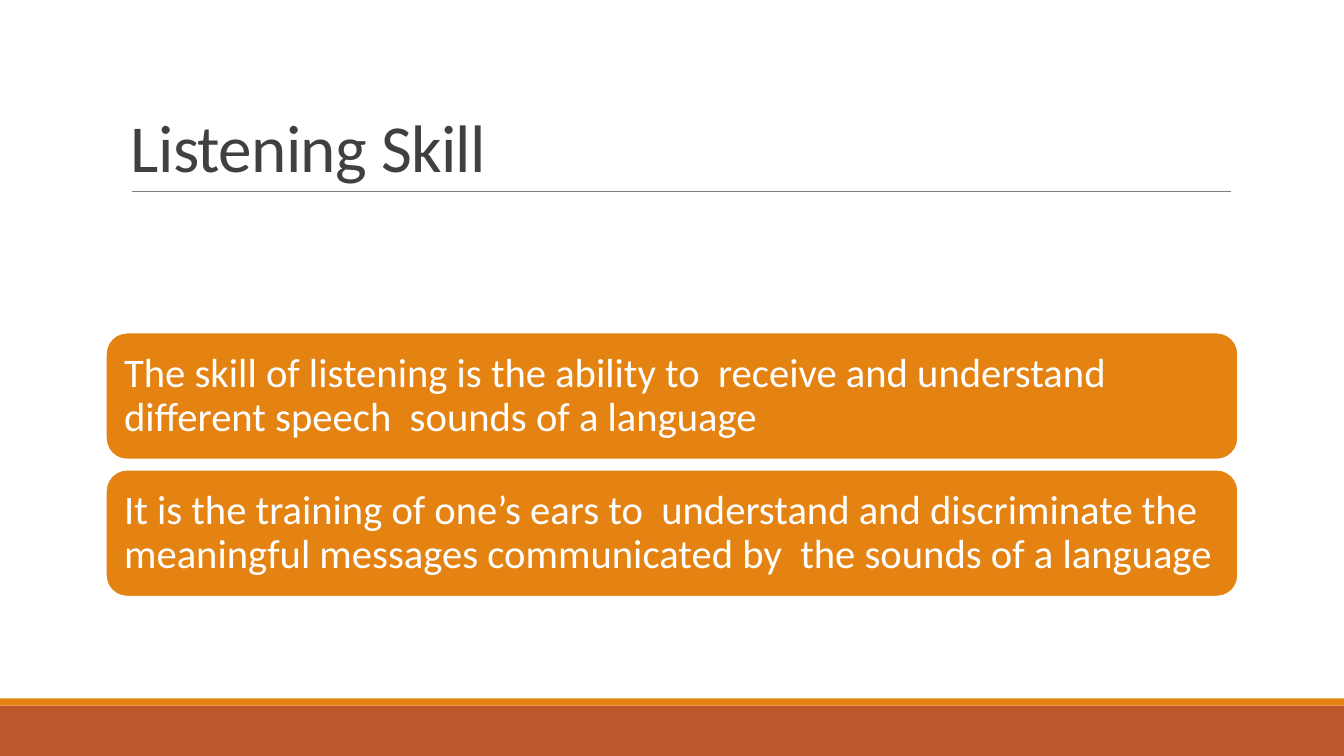
from lxml.etree import SubElement
from pptx import Presentation
from pptx.dml.color import RGBColor
from pptx.enum.shapes import MSO_CONNECTOR, MSO_SHAPE
from pptx.enum.text import MSO_ANCHOR, PP_ALIGN
from pptx.oxml.ns import qn
from pptx.util import Inches, Pt

ORANGE = RGBColor(0xE4, 0x83, 0x12)
RUST = RGBColor(0xBD, 0x58, 0x2C)
GRAY = RGBColor(0x80, 0x80, 0x80)
DARK = RGBColor(0x40, 0x40, 0x40)
WHITE = RGBColor(0xFF, 0xFF, 0xFF)

DEFINITIONS = [
    "The skill of listening is the ability to  receive and understand "
    "different speech  sounds of a language",
    "It is the training of one’s ears to  understand and discriminate the  "
    "meaningful messages communicated by  the sounds of a language",
]


def add_block(page, kind, left, top, width, height, color):
    block = page.shapes.add_shape(
        kind, Inches(left), Inches(top), Inches(width), Inches(height))
    block.shadow.inherit = False
    block.fill.solid()
    block.fill.fore_color.rgb = color
    block.line.fill.background()
    return block


def write_text(box, text, size, color, frame_format, para_format):
    frame = box.text_frame
    frame.word_wrap = True
    for name, value in frame_format.items():
        setattr(frame, name, value)
    para = frame.paragraphs[0]
    para.alignment = PP_ALIGN.LEFT
    for name, value in para_format.items():
        setattr(para, name, value)
    span = para.add_run()
    span.text = text
    span.font.name = "Calibri"
    span.font.size = Pt(size)
    span.font.color.rgb = color
    return span


deck = Presentation()
deck.slide_width = Inches(13.33)
deck.slide_height = Inches(7.5)
page = deck.slides.add_slide(deck.slide_layouts[6])

# Footer bands
add_block(page, MSO_SHAPE.RECTANGLE, 0, 7, 13.33, 0.5, RUST)
add_block(page, MSO_SHAPE.RECTANGLE, 0, 6.93, 13.33, 0.07, ORANGE)

# Title and its rule
rule = page.shapes.add_connector(
    MSO_CONNECTOR.STRAIGHT, Inches(1.31), Inches(1.9), Inches(12.21), Inches(1.9))
rule.line.color.rgb = GRAY
rule.line.width = Pt(0.5)
SubElement(rule._element.spPr, qn("a:effectLst"))

title = page.shapes.add_textbox(Inches(1.2), Inches(0.31), Inches(11), Inches(1.59))
title_span = write_text(
    title, "Listening Skill", 48, DARK,
    {"vertical_anchor": MSO_ANCHOR.BOTTOM}, {"line_spacing": 0.85})
title_span._r.get_or_add_rPr().set("spc", "-50")

# Definition cards
card_frame = {"vertical_anchor": MSO_ANCHOR.MIDDLE}
for side in ("left", "right", "top", "bottom"):
    card_frame["margin_" + side] = Inches(0.12)
card_frame["margin_left"] = card_frame["margin_right"] = Inches(0.12)
for index, definition in enumerate(DEFINITIONS):
    card = add_block(page, MSO_SHAPE.ROUNDED_RECTANGLE,
                     1.05, 3.3 + index * 1.36, 11.23, 1.26, ORANGE)
    card.line.color.rgb = WHITE
    card.line.width = Pt(1.25)
    write_text(card, definition, 29, WHITE, card_frame, {"line_spacing": 0.9})

deck.save("out.pptx")
